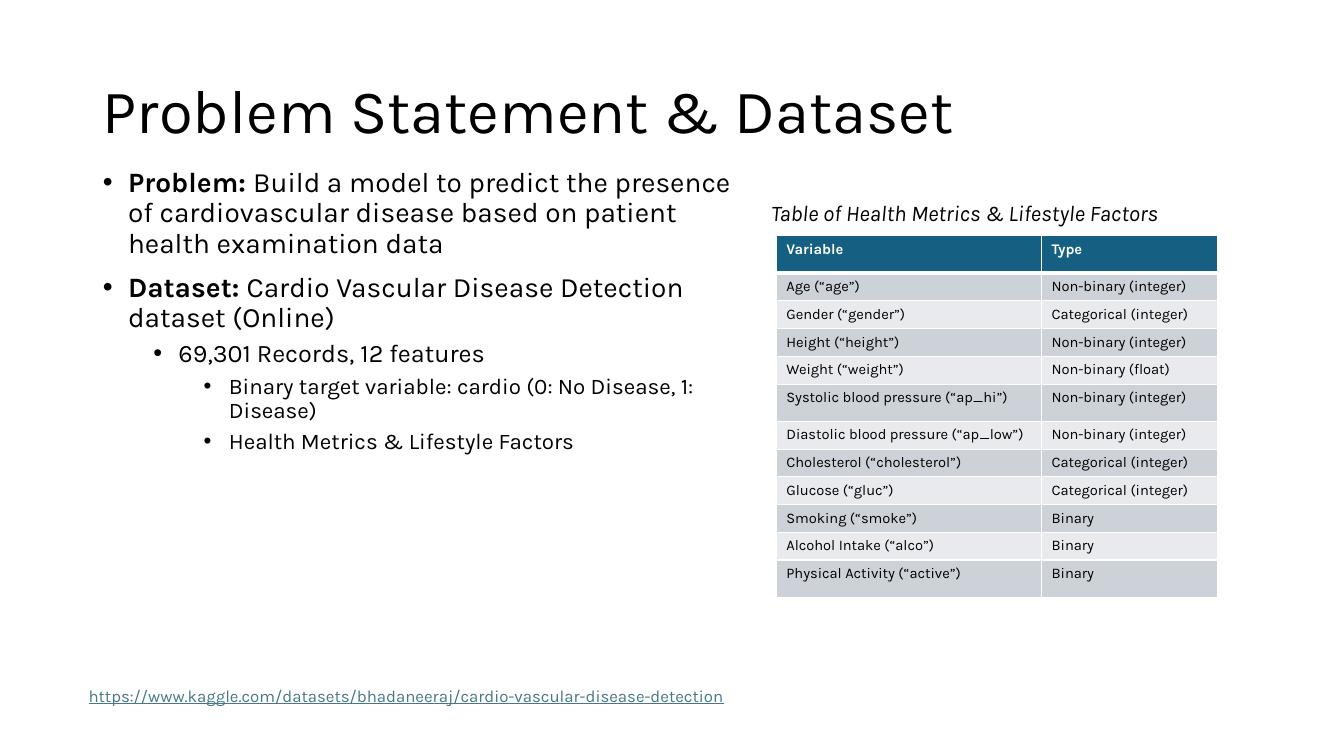
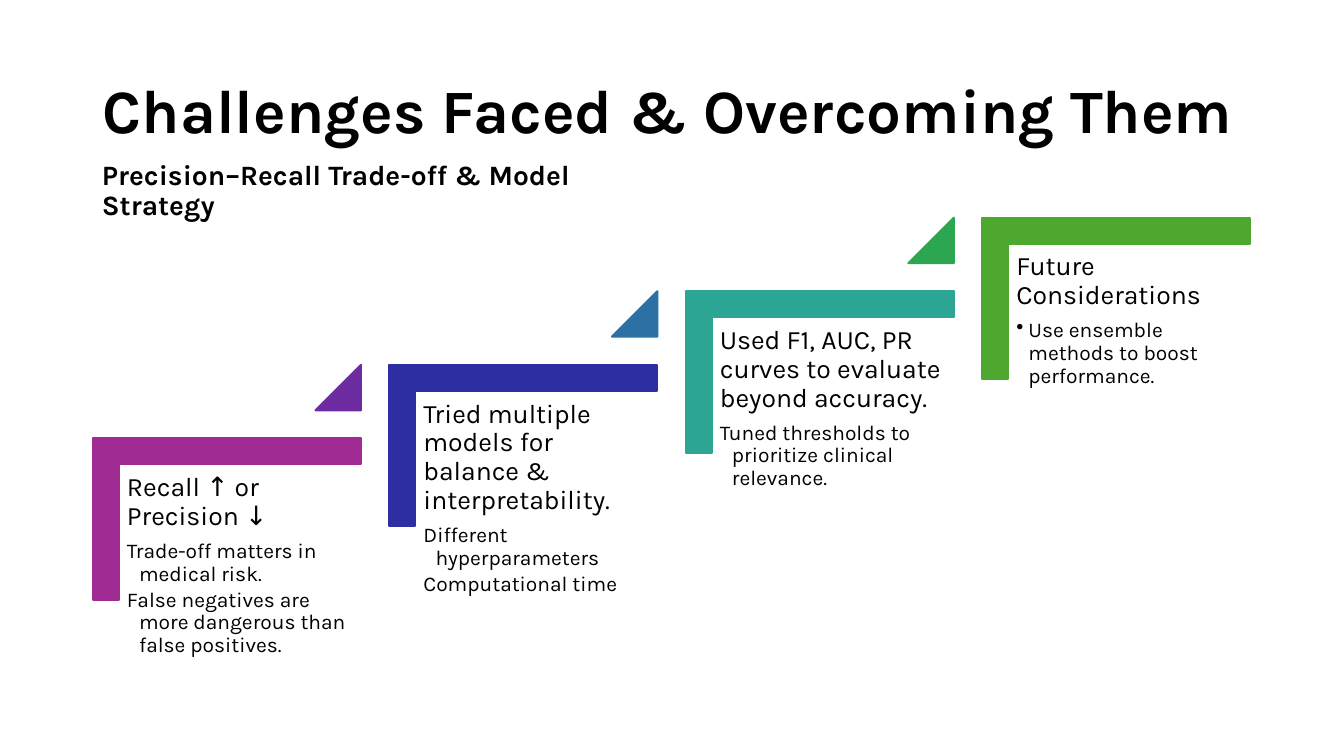
from dataclasses import dataclass
from typing import NamedTuple

import pptx
import pptx.dml.color
import pptx.enum.shapes
import pptx.enum.text
import pptx.oxml
import pptx.oxml.ns
import pptx.util

Inches = pptx.util.Inches
Pt = pptx.util.Pt
MSO_SHAPE = pptx.enum.shapes.MSO_SHAPE
ANCHOR = pptx.enum.text.MSO_ANCHOR


@dataclass(frozen=True)
class Theme:
    font: str = "Karla"
    ink: str = "000000"
    paper: str = "FFFFFF"
    link: str = "467886"
    header: str = "156082"
    bands: tuple[str, str] = ("CCD2D8", "E8EAED")
    title: float = 44
    body: float = 20
    step_head: float = 19
    body2: float = 18
    body3: float = 16
    step_item: float = 15
    source: float = 12
    table: float = 10.5


THEME = Theme()


class Box(NamedTuple):
    left: float
    top: float
    width: float
    height: float

    def emu(self) -> tuple[int, int, int, int]:
        return tuple(Inches(v) for v in self)


class Bullet(NamedTuple):
    text: str
    level: int = 0
    lead: str = ""


@dataclass(frozen=True)
class Step:
    head: str
    items: tuple[str, ...]
    color: str
    flag: str = ""
    mark: str = ""


TITLE_BOX = Box(0.92, 0.4, 11.5, 1.45)
TITLE_AND_BODY, TITLE_ONLY = 1, 5

BULLETS = [
    Bullet("Build a model to predict the presence of cardiovascular disease "
           "based on patient health examination data", lead="Problem: "),
    Bullet("Cardio Vascular Disease Detection dataset (Online)", lead="Dataset: "),
    Bullet("69,301 Records, 12 features", 1),
    Bullet("Binary target variable: cardio (0: No Disease, 1: Disease)", 2),
    Bullet("Health Metrics & Lifestyle Factors", 2),
]

VARIABLES = [
    ("Variable", "Type"),
    ("Age (“age”)", "Non-binary (integer)"),
    ("Gender (“gender”)", "Categorical (integer)"),
    ("Height (“height”)", "Non-binary (integer)"),
    ("Weight (“weight”)", "Non-binary (float)"),
    ("Systolic blood pressure (“ap_hi”)", "Non-binary (integer)"),
    ("Diastolic blood pressure (“ap_low”)", "Non-binary (integer)"),
    ("Cholesterol (“cholesterol”)", "Categorical (integer)"),
    ("Glucose (“gluc”)", "Categorical (integer)"),
    ("Smoking (“smoke”)", "Binary"),
    ("Alcohol Intake (“alco”)", "Binary"),
    ("Physical Activity (“active”)", "Binary"),
]
TABLE_BOX = Box(7.7, 2.34, 4.38, 3.57)
COLUMN_WIDTHS = (2.63, 1.75)
TALL_ROWS = (0, 5, 11)
TALL_HEIGHT = 0.37

STEPS = [
    Step("Recall ↑ or Precision ↓",
         ("Trade-off matters in medical risk.",
          "False negatives are more dangerous than false positives."),
         "A02B93", flag="6C2BA1"),
    Step("Tried multiple models for balance & interpretability.",
         ("Different hyperparameters", "Computational time"),
         "2C2EA2", flag="2C71A4"),
    Step("Used F1, AUC, PR curves to evaluate beyond accuracy.",
         ("Tuned thresholds to prioritize clinical relevance.",),
         "2DA594", flag="2DA651"),
    Step("Future Considerations",
         ("Use ensemble methods to boost performance.",),
         "4EA72E", mark="•"),
]
FIRST_CORNER = Box(1.45, 3.82, 1.6, 2.66)
CORNER_ARM = 16100
STEP_RIGHT, STEP_UP = 2.94, 0.73


def rgb(color: str) -> pptx.dml.color.RGBColor:
    return pptx.dml.color.RGBColor.from_string(color)


def add_para(tf, text: str, *, size: float, color: str = THEME.ink,
             lead: str = "", bold: bool = False, italic: bool = False,
             underline: bool = False, level: int = 0, margin: float = 0,
             hang: float = 0, mark: str = "", spacing: float = 0.9,
             before: float = 0, after: float = 0):
    first = not tf.paragraphs[0].runs
    p = tf.paragraphs[0] if first else tf.add_paragraph()
    p.level = level
    pPr = p._p.get_or_add_pPr()
    pPr.set("marL", str(Inches(margin)))
    pPr.set("indent", str(-Inches(hang)))
    if mark:
        bu = pptx.oxml.parse_xml(
            f'<a:buChar {pptx.oxml.ns.nsdecls("a")} char="{mark}"/>')
    else:
        bu = pptx.oxml.parse_xml(f'<a:buNone {pptx.oxml.ns.nsdecls("a")}/>')
    pPr.append(bu)
    p.alignment = pptx.enum.text.PP_ALIGN.LEFT
    p.line_spacing = spacing
    p.space_before = Pt(0 if first else before)
    p.space_after = Pt(after)
    for part, strong in ((lead, True), (text, bold)):
        if not part:
            continue
        r = p.add_run()
        r.text = part
        r.font.name = THEME.font
        r.font.size = Pt(size)
        r.font.bold = strong
        r.font.italic = italic
        r.font.underline = underline
        r.font.color.rgb = rgb(color)
    return p


def place(sp, box: Box) -> None:
    sp.left, sp.top, sp.width, sp.height = box.emu()


def add_slide(prs, layout: int, title: str, bold: bool = False):
    s = prs.slides.add_slide(prs.slide_layouts[layout])
    sp = s.shapes.title
    place(sp, TITLE_BOX)
    tf = sp.text_frame
    tf.auto_size = pptx.enum.text.MSO_AUTO_SIZE.NONE
    tf.vertical_anchor = ANCHOR.MIDDLE
    add_para(tf, title, size=THEME.title, bold=bold)
    return s


def add_box(s, box: Box,
            insets: tuple[float, float, float, float] = (0.1, 0.05, 0.1, 0.05)):
    tf = s.shapes.add_textbox(*box.emu()).text_frame
    tf.word_wrap = True
    (tf.margin_left, tf.margin_top,
     tf.margin_right, tf.margin_bottom) = (Inches(v) for v in insets)
    return tf


def add_solid(s, kind, box: Box, color: str):
    sp = s.shapes.add_shape(kind, *box.emu())
    sp.shadow.inherit = False
    sp.fill.solid()
    sp.fill.fore_color.rgb = rgb(color)
    sp.line.color.rgb = rgb(color)
    sp.line.width = Pt(1.5)
    return sp


def add_corner(s, box: Box, color: str) -> None:
    sp = add_solid(s, MSO_SHAPE.RECTANGLE, box, color)
    sp.rotation = 90
    geom = sp._element.spPr.find(pptx.oxml.ns.qn("a:prstGeom"))
    geom.set("prst", "corner")
    guides = geom.find(pptx.oxml.ns.qn("a:avLst"))
    for name in ("adj1", "adj2"):
        guides.append(pptx.oxml.parse_xml(
            f'<a:gd {pptx.oxml.ns.nsdecls("a")} name="{name}" '
            f'fmla="val {CORNER_ARM}"/>'))


def style_cell(cell, fill: str, bottom: float) -> None:
    tcPr = cell._tc.get_or_add_tcPr()
    for side, width in (("L", 1), ("R", 1), ("T", 1), ("B", bottom)):
        tcPr.append(pptx.oxml.parse_xml(
            f'<a:ln{side} {pptx.oxml.ns.nsdecls("a")} w="{Pt(width)}">'
            f'<a:solidFill><a:srgbClr val="{THEME.paper}"/></a:solidFill>'
            f'</a:ln{side}>'))
    cell.fill.solid()
    cell.fill.fore_color.rgb = rgb(fill)


def add_variable_table(s) -> None:
    count = len(VARIABLES)
    table = s.shapes.add_table(count, len(COLUMN_WIDTHS), *TABLE_BOX.emu()).table
    table.horz_banding = False
    for column, width in zip(table.columns, COLUMN_WIDTHS):
        column.width = Inches(width)
    short = (TABLE_BOX.height - TALL_HEIGHT * len(TALL_ROWS)) / (count - len(TALL_ROWS))
    for i, values in enumerate(VARIABLES):
        head = i == 0
        table.rows[i].height = Inches(TALL_HEIGHT if i in TALL_ROWS else short)
        for j, value in enumerate(values):
            cell = table.cell(i, j)
            style_cell(cell, THEME.header if head else THEME.bands[(i - 1) % 2],
                       3 if head else 1)
            add_para(cell.text_frame, value, size=THEME.table, bold=head,
                     color=THEME.paper if head else THEME.ink, spacing=1)


def add_step(s, step: Step, index: int) -> None:
    x = FIRST_CORNER.left + STEP_RIGHT * index
    y = FIRST_CORNER.top - STEP_UP * index
    add_corner(s, FIRST_CORNER._replace(left=x, top=y), step.color)
    tf = add_box(s, Box(x - 0.27, y + 0.8, 2.4, 2.11), (0.08,) * 4)
    add_para(tf, step.head, size=THEME.step_head, after=6.65)
    for item in step.items:
        add_para(tf, item, size=THEME.step_item, level=1, margin=0.12,
                 hang=0.12, mark=step.mark, after=2.25)
    if step.flag:
        sp = add_solid(s, MSO_SHAPE.ISOSCELES_TRIANGLE,
                       Box(x + 1.68, y - 0.2, 0.45, 0.45), step.flag)
        sp.adjustments[0] = 1


def build_dataset_slide(prs) -> None:
    s = add_slide(prs, TITLE_AND_BODY, "Problem Statement & Dataset")
    body = s.placeholders[1]
    place(body, Box(0.92, 1.62, 6.45, 4.76))
    tf = body.text_frame
    tf.auto_size = pptx.enum.text.MSO_AUTO_SIZE.NONE
    sizes = (THEME.body, THEME.body2, THEME.body3)
    for b in BULLETS:
        add_para(tf, b.text, lead=b.lead, size=sizes[b.level], level=b.level,
                 margin=0.25 + 0.5 * b.level, hang=0.25, mark="•",
                 before=5 if b.level else 10)
    add_para(add_box(s, Box(0.78, 6.75, 11.64, 0.3)),
             "https://www.kaggle.com/datasets/bhadaneeraj/cardio-vascular-disease-detection",
             size=THEME.source, color=THEME.link, underline=True, spacing=1)
    add_variable_table(s)
    add_para(add_box(s, Box(7.55, 1.96, 4.68, 0.35)),
             "Table of Health Metrics & Lifestyle Factors",
             size=THEME.body3, italic=True)


def build_challenges_slide(prs) -> None:
    s = add_slide(prs, TITLE_ONLY, "Challenges Faced & Overcoming Them", bold=True)
    for i, step in enumerate(STEPS):
        add_step(s, step, i)
    add_para(add_box(s, Box(0.92, 1.6, 5.85, 1.13), (0.09, 0, 0, 0)),
             "Precision–Recall Trade-off & Model Strategy",
             size=THEME.body, bold=True)


def main() -> None:
    prs = pptx.Presentation()
    prs.slide_width, prs.slide_height = Inches(13.33), Inches(7.5)
    build_dataset_slide(prs)
    build_challenges_slide(prs)
    prs.save("out.pptx")


if __name__ == "__main__":
    main()
